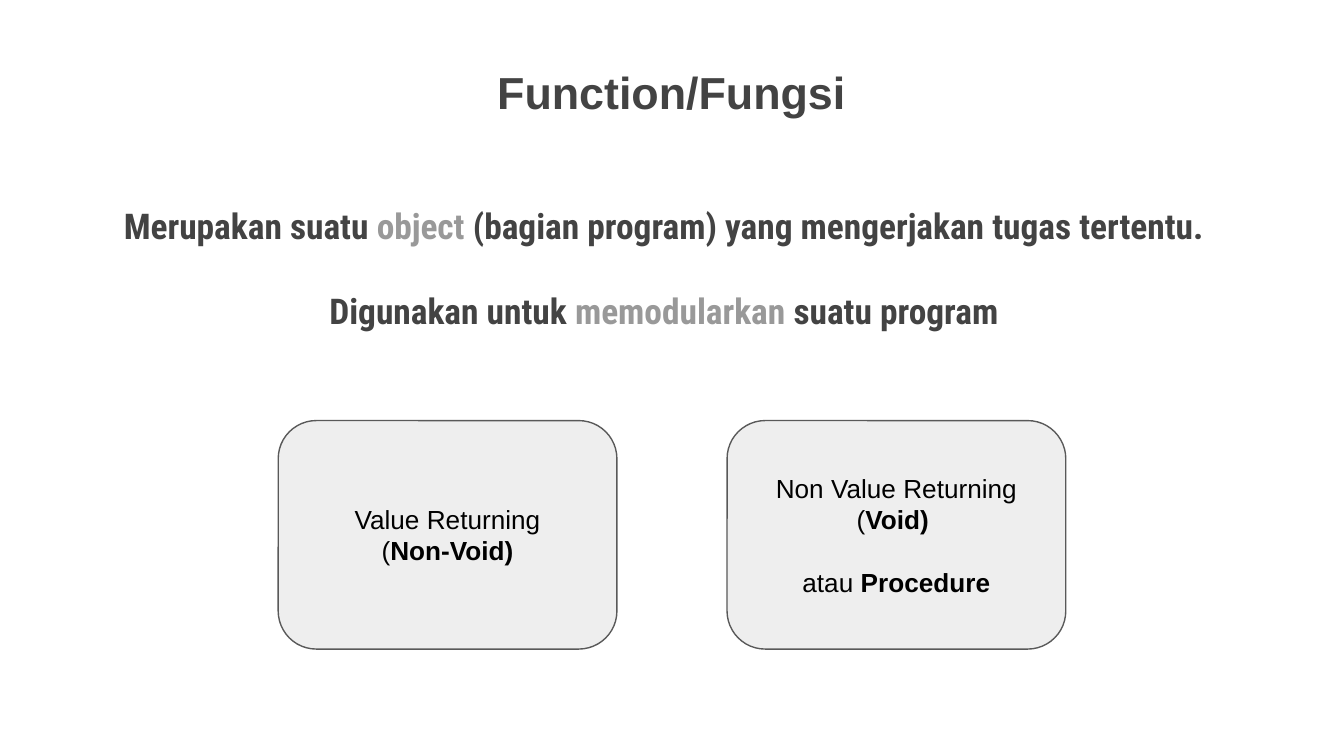
from pptx import Presentation
from pptx.dml.color import RGBColor
from pptx.enum.shapes import MSO_SHAPE
from pptx.enum.text import MSO_ANCHOR, PP_ALIGN
from pptx.util import Inches, Pt

DARK, GRAY, BLACK = "434343", "999999", "000000"


def rgb(value):
    return RGBColor.from_string(value)


def write(sp, paragraphs, font, size, anchor):
    tf = sp.text_frame
    tf.word_wrap = True
    tf.vertical_anchor = anchor
    tf.margin_left = tf.margin_right = Inches(0.1)
    tf.margin_top = tf.margin_bottom = Inches(0.1)
    for i, (space, runs) in enumerate(paragraphs):
        p = tf.paragraphs[0] if i == 0 else tf.add_paragraph()
        p.alignment = PP_ALIGN.CENTER
        if space:
            p.space_before = Pt(space)
        for text, color, bold in runs:
            r = p.add_run()
            r.text = text
            r.font.name = font
            r.font.size = Pt(size)
            r.font.bold = bold
            r.font.color.rgb = rgb(color)


def add_text(s, left, top, width, height, paragraphs, font, size):
    sp = s.shapes.add_textbox(Inches(left), Inches(top), Inches(width), Inches(height))
    write(sp, paragraphs, font, size, MSO_ANCHOR.TOP)


def add_card(s, left, paragraphs):
    sp = s.shapes.add_shape(MSO_SHAPE.ROUNDED_RECTANGLE, Inches(left), Inches(3.13),
                            Inches(2.52), Inches(1.7))
    sp.shadow.inherit = False
    sp.fill.solid()
    sp.fill.fore_color.rgb = rgb("EEEEEE")
    sp.line.color.rgb = rgb("595959")
    sp.line.width = Pt(0.75)
    write(sp, paragraphs, "Arial", 14, MSO_ANCHOR.MIDDLE)


def main():
    prs = Presentation()
    prs.slide_width = Inches(10)
    prs.slide_height = prs.slide_width * 9 // 16
    s = prs.slides.add_slide(prs.slide_layouts[6])

    add_text(s, 1.9, 0.38, 6.19, 0.66,
             [(0, [("Function/Fungsi", DARK, True)])], "Arial", 24)
    add_text(s, 0.19, 1.42, 9.5, 3.87, [
        (0, [("Merupakan suatu ", DARK, True), ("object ", GRAY, True),
             ("(bagian program) yang mengerjakan tugas tertentu.", DARK, True)]),
        (22.5, [("Digunakan untuk ", DARK, True), ("memodularkan ", GRAY, True),
                ("suatu program", DARK, True)]),
    ], "Roboto Condensed", 19)

    add_card(s, 2.07, [
        (0, [("Value Returning", BLACK, False)]),
        (0, [("(", BLACK, False), ("Non-Void)", BLACK, True)]),
    ])
    add_card(s, 5.41, [
        (0, [("Non Value Returning", BLACK, False)]),
        (0, [("(", BLACK, False), ("Void) ", BLACK, True)]),
        (16.5, [("atau", BLACK, False), (" Procedure", BLACK, True)]),
    ])
    prs.save("out.pptx")


if __name__ == "__main__":
    main()
